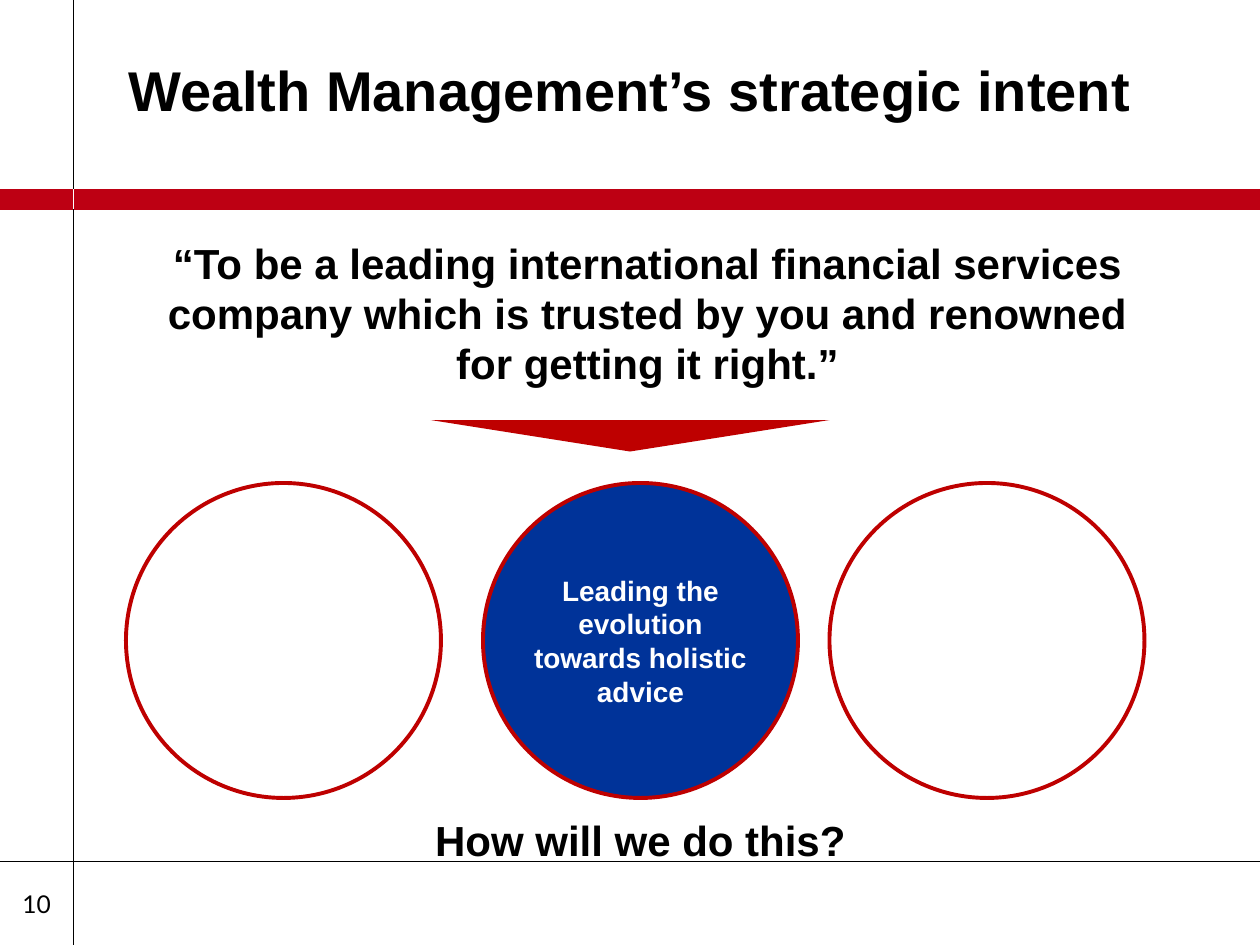
from lxml.etree import SubElement
from pptx import Presentation
from pptx.dml.color import RGBColor
from pptx.enum.shapes import MSO_CONNECTOR, MSO_SHAPE
from pptx.enum.text import MSO_ANCHOR, MSO_AUTO_SIZE, PP_ALIGN
from pptx.oxml.ns import qn
from pptx.util import Pt

THEME = {
    "black": RGBColor.from_string("000000"),
    "white": RGBColor.from_string("FFFFFF"),
    "band": RGBColor.from_string("BD0013"),
    "red": RGBColor.from_string("BE0000"),
    "blue": RGBColor.from_string("003399"),
    "title": Pt(32),
    "statement": Pt(24),
    "circle": Pt(16),
    "number": Pt(14),
    "font": "Arial",
    "number_font": "Lato",
}


def write_text(shape, text, size, color="black", name="font", bold=True,
               align=PP_ALIGN.CENTER, anchor=MSO_ANCHOR.TOP, insets=(7.2, 3.6)):
    side, end = map(Pt, insets)
    frame = shape.text_frame
    frame.text = text
    frame_format = {
        "word_wrap": True, "auto_size": MSO_AUTO_SIZE.NONE, "vertical_anchor": anchor,
        "margin_left": side, "margin_right": side, "margin_top": end, "margin_bottom": end,
    }
    for key, value in frame_format.items():
        setattr(frame, key, value)
    paragraph = frame.paragraphs[0]
    paragraph.alignment = align
    paragraph.space_before = Pt(0)
    font = paragraph.runs[0].font
    for key, value in {"size": THEME[size], "bold": bold, "name": THEME[name]}.items():
        setattr(font, key, value)
    font.color.rgb = THEME[color]


def add_filled_shape(kind, box, fill, outline=None):
    shape = slide.shapes.add_shape(kind, *map(Pt, box))
    shape.shadow.inherit = False
    shape.fill.solid()
    shape.fill.fore_color.rgb = THEME[fill]
    if outline:
        shape.line.color.rgb = THEME[outline]
        shape.line.width = Pt(2.25)
    else:
        shape.line.fill.background()
    return shape


presentation = Presentation()
presentation.slide_width = Pt(720)
presentation.slide_height = Pt(540)
slide = presentation.slides.add_slide(presentation.slide_layouts[5])

add_filled_shape(MSO_SHAPE.RECTANGLE, (0, 108, 720, 12), "band")

rules = [
    ((42, 0, 42, 540), "black"),
    ((0, 492.5, 720, 492.5), "black"),
    ((42, 108, 42, 119.5), "white"),
]
for ends, color in rules:
    rule = slide.shapes.add_connector(MSO_CONNECTOR.STRAIGHT, *map(Pt, ends))
    rule.line.color.rgb = THEME[color]
    rule.line.width = Pt(0.5)
    SubElement(rule.element.spPr, qn("a:effectLst"))

title = slide.shapes.title
title_box = {"left": 66, "top": 24, "width": 615.6, "height": 54}
for key, value in title_box.items():
    setattr(title, key, Pt(value))
write_text(title, "Wealth Management’s strategic intent", "title",
           align=PP_ALIGN.LEFT, anchor=MSO_ANCHOR.MIDDLE)

text_boxes = [
    ((72, 132, 596, 92), "“To be a leading international financial services company "
     "which is trusted by you and renowned for getting it right.”", {"size": "statement"}),
    ((240, 462, 252, 36), "How will we do this?", {"size": "statement"}),
    ((3, 504.5, 36, 26.5), "10", {"size": "number", "name": "number_font", "bold": False}),
]
for box, text, text_format in text_boxes:
    write_text(slide.shapes.add_textbox(*map(Pt, box)), text, **text_format)

pointer = add_filled_shape(MSO_SHAPE.ISOSCELES_TRIANGLE, (246, 240, 228, 18), "red")
pointer.rotation = 180

for left, fill, text in [
    (72, "white", None),
    (276, "blue", "Leading the evolution towards holistic advice"),
    (474, "white", None),
]:
    circle = add_filled_shape(MSO_SHAPE.OVAL, (left, 276, 180, 180), fill, "red")
    if text:
        write_text(circle, text, "circle", "white", anchor=MSO_ANCHOR.MIDDLE, insets=(0, 3))

presentation.save("out.pptx")
